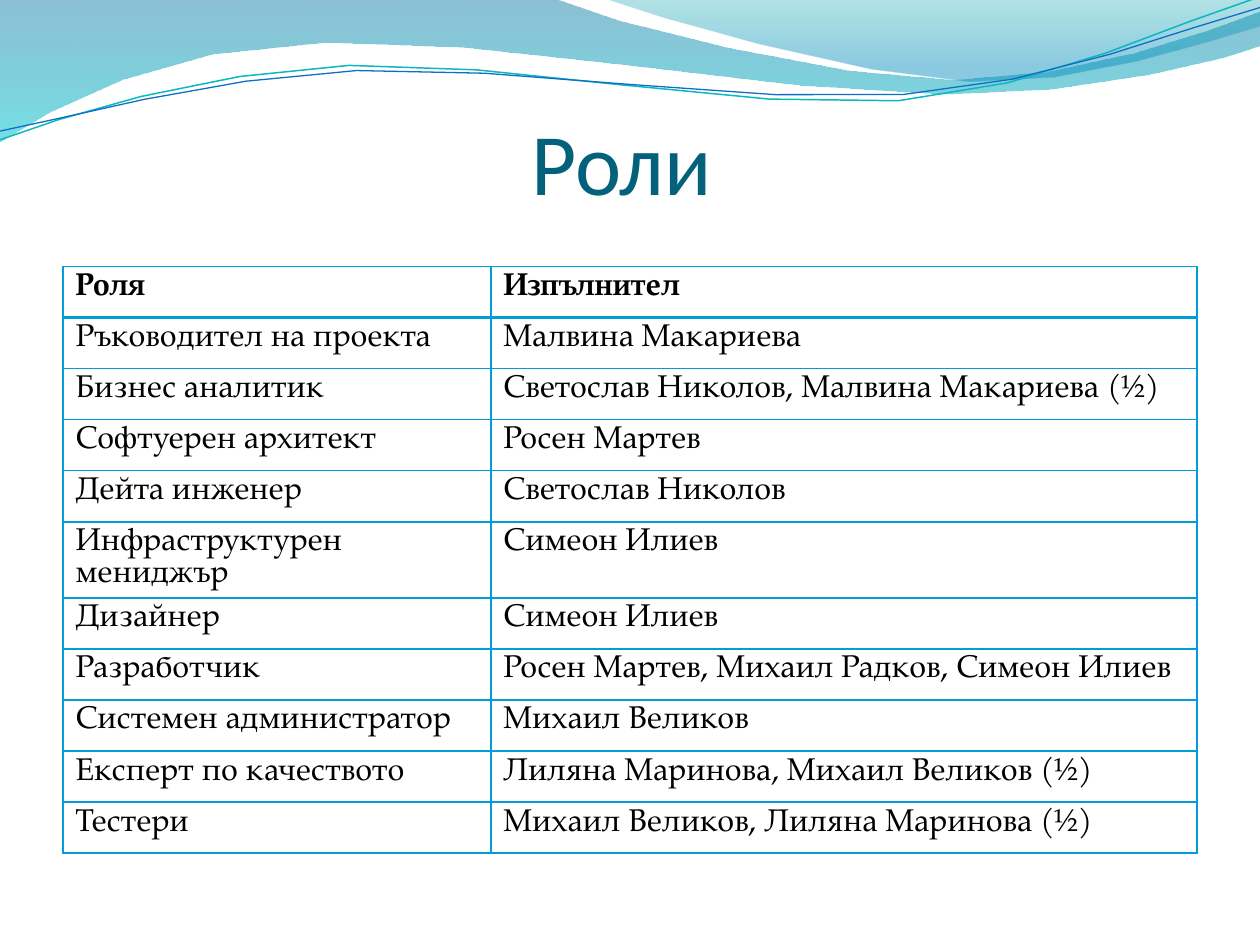
import pptx
import pptx.util
import pptx.dml.color
import pptx.enum.text
import pptx.oxml
import pptx.oxml.ns
from lxml import etree

Pt = pptx.util.Pt
RGBColor = pptx.dml.color.RGBColor

# Content
TITLE = "Роли"
ROLES = [
    ("Роля", "Изпълнител"),
    ("Ръководител на проекта", "Малвина Макариева"),
    ("Бизнес аналитик", "Светослав Николов, Малвина Макариева (½)"),
    ("Софтуерен архитект", "Росен Мартев"),
    ("Дейта инженер", "Светослав Николов"),
    ("Инфраструктурен мениджър", "Симеон Илиев"),
    ("Дизайнер", "Симеон Илиев"),
    ("Разработчик", "Росен Мартев, Михаил Радков, Симеон Илиев"),
    ("Системен администратор", "Михаил Великов"),
    ("Експерт по качеството", "Лиляна Маринова, Михаил Великов (½)"),
    ("Тестери", "Михаил Великов, Лиляна Маринова (½)"),
]
TWO_LINE_ROW = 5

# Style
TITLE_COLOR = RGBColor(0x04, 0x61, 0x7B)
TEXT_COLOR = RGBColor(0, 0, 0)
BORDER_COLOR = RGBColor(0x00, 0x9D, 0xD9)
TITLE_FONT, TABLE_FONT = "Calibri", "TeX Gyre Pagella"
COLUMN_WIDTHS = (244.5, 403.5)
ROW_HEIGHT, TWO_LINE_HEIGHT = 29.2, 43.4

# Waves in points: a pair is a straight step, six numbers are a Bezier curve
# Gradient stops: position, colour, opacity in percent
FILLED_WAVES = [
    ([(0, 0), (316.8, -0.7), (342.7, 12.2, 478.1, 45.4, 545.8, 45.4),
      (614.2, 45.4, 689.8, 18.7, 720, 6.5), (720.7, 25.9),
      (707.8, 31.7, 626.4, 54.7, 537.1, 54),
      (447.8, 54, 275, 20.2, 185, 24.5),
      (92.9, 25.9, 33.1, 59.8, -0.7, 81.4)],
     [(0, RGBColor(0x00, 0x74, 0xA1), 45), (1, RGBColor(0x00, 0xC6, 0xCF), 55)]),
    ([(344.9, -0.7), (366.5, 7.9, 491, 44.6, 553.7, 46.8),
      (616.3, 49.7, 691.9, 23, 720, 15.1), (720, 0)],
     [(0, RGBColor(0x00, 0xA1, 0xA9), 30), (0.8, RGBColor(0x00, 0x8B, 0xBF), 45)]),
]
LINE_WAVES = [
    ([(0, 79.9), (34.6, 67, 113.8, 41, 199.4, 37.4),
      (284.4, 33.8, 427, 64.1, 513.4, 57.6),
      (599.8, 51.1, 675.4, 10.8, 718.6, -1.4)], RGBColor(0x0A, 0xB8, 0xBF), 0.85),
    ([(0, 74.9), (33.8, 69.1, 118.1, 43.9, 203.8, 40.3),
      (290.2, 36.7, 429.8, 60.5, 516.2, 54),
      (601.9, 48.2, 677.5, 15.1, 720, 4.3)], RGBColor(0x0F, 0x6F, 0xC6), 0.75),
]
CURVE_STEPS = 4


def flatten(segments):
    points = [segments[0]]
    for segment in segments[1:]:
        if len(segment) == 2:
            points.append(segment)
            continue
        controls = [points[-1], segment[:2], segment[2:4], segment[4:]]
        for step in range(1, CURVE_STEPS + 1):
            t = step / CURVE_STEPS
            weights = ((1 - t) ** 3, 3 * t * (1 - t) ** 2, 3 * t * t * (1 - t), t ** 3)
            points.append(tuple(sum(w * c[axis] for w, c in zip(weights, controls))
                                for axis in (0, 1)))
    return [(Pt(x), Pt(y)) for x, y in points]


def add_wave(segments, close):
    start, *rest = flatten(segments)
    builder = slide.shapes.build_freeform(*start)
    builder.add_line_segments(rest, close=close)
    shape = builder.convert_to_shape()
    shape.shadow.inherit = False
    title.element.addprevious(shape.element)
    return shape


def set_borders(cell, widths):
    cell.fill.background()
    properties = cell._tc.get_or_add_tcPr()
    for index, (side, width) in enumerate(widths.items()):
        properties.insert(index, pptx.oxml.parse_xml(
            f'<a:ln{side} {pptx.oxml.ns.nsdecls("a")} w="{Pt(width)}"><a:solidFill>'
            f'<a:srgbClr val="{BORDER_COLOR}"/></a:solidFill></a:ln{side}>'))


presentation = pptx.Presentation()
presentation.slide_width, presentation.slide_height = Pt(720), Pt(540)
slide = presentation.slides.add_slide(presentation.slide_layouts[5])

# Title
title = slide.shapes.title
title.left, title.top, title.width, title.height = Pt(31.2), Pt(31.7), Pt(648), Pt(90)
frame = title.text_frame
frame.text = TITLE
frame.margin_left = frame.margin_right = frame.margin_bottom = 0
frame.margin_top = Pt(3.6)
frame.vertical_anchor = pptx.enum.text.MSO_ANCHOR.BOTTOM
frame.paragraphs[0].alignment = pptx.enum.text.PP_ALIGN.CENTER
font = frame.paragraphs[0].runs[0].font
font.name, font.size, font.color.rgb = TITLE_FONT, Pt(50), TITLE_COLOR

# Waves behind the title
for segments, stops in FILLED_WAVES:
    wave = add_wave(segments, close=True)
    wave.line.fill.background()
    wave.fill.gradient()
    wave.fill.gradient_angle = 270
    for gradient_stop, (position, color, opacity) in zip(wave.fill.gradient_stops, stops):
        gradient_stop.position = position
        gradient_stop.color.rgb = color
    for element, stop in zip(wave.element.iter(pptx.oxml.ns.qn("a:srgbClr")), stops):
        etree.SubElement(element, pptx.oxml.ns.qn("a:alpha"), val=str(stop[2] * 1000))
for segments, color, width in LINE_WAVES:
    wave = add_wave(segments, close=False)
    wave.fill.background()
    wave.line.color.rgb = color
    wave.line.width = Pt(width)

# Roles table
heights = [TWO_LINE_HEIGHT if i == TWO_LINE_ROW else ROW_HEIGHT for i in range(len(ROLES))]
table = slide.shapes.add_table(len(ROLES), len(COLUMN_WIDTHS), Pt(36), Pt(152.2),
                               Pt(sum(COLUMN_WIDTHS)), Pt(sum(heights))).table
table.first_row = table.horz_banding = False
for column, width in zip(table.columns, COLUMN_WIDTHS):
    column.width = Pt(width)
for row_index, (row, texts) in enumerate(zip(table.rows, ROLES)):
    row.height = Pt(heights[row_index])
    for cell, text in zip(row.cells, texts):
        cell.text_frame.text = text
        paragraph = cell.text_frame.paragraphs[0]
        paragraph.line_spacing = Pt(18)
        font = paragraph.runs[0].font
        font.name, font.size, font.color.rgb = TABLE_FONT, Pt(18), TEXT_COLOR
        font.bold = row_index == 0
        set_borders(cell, {"L": 1, "R": 1, "T": 2 if row_index == 1 else 1,
                           "B": 2 if row_index == 0 else 1})

presentation.save("out.pptx")
